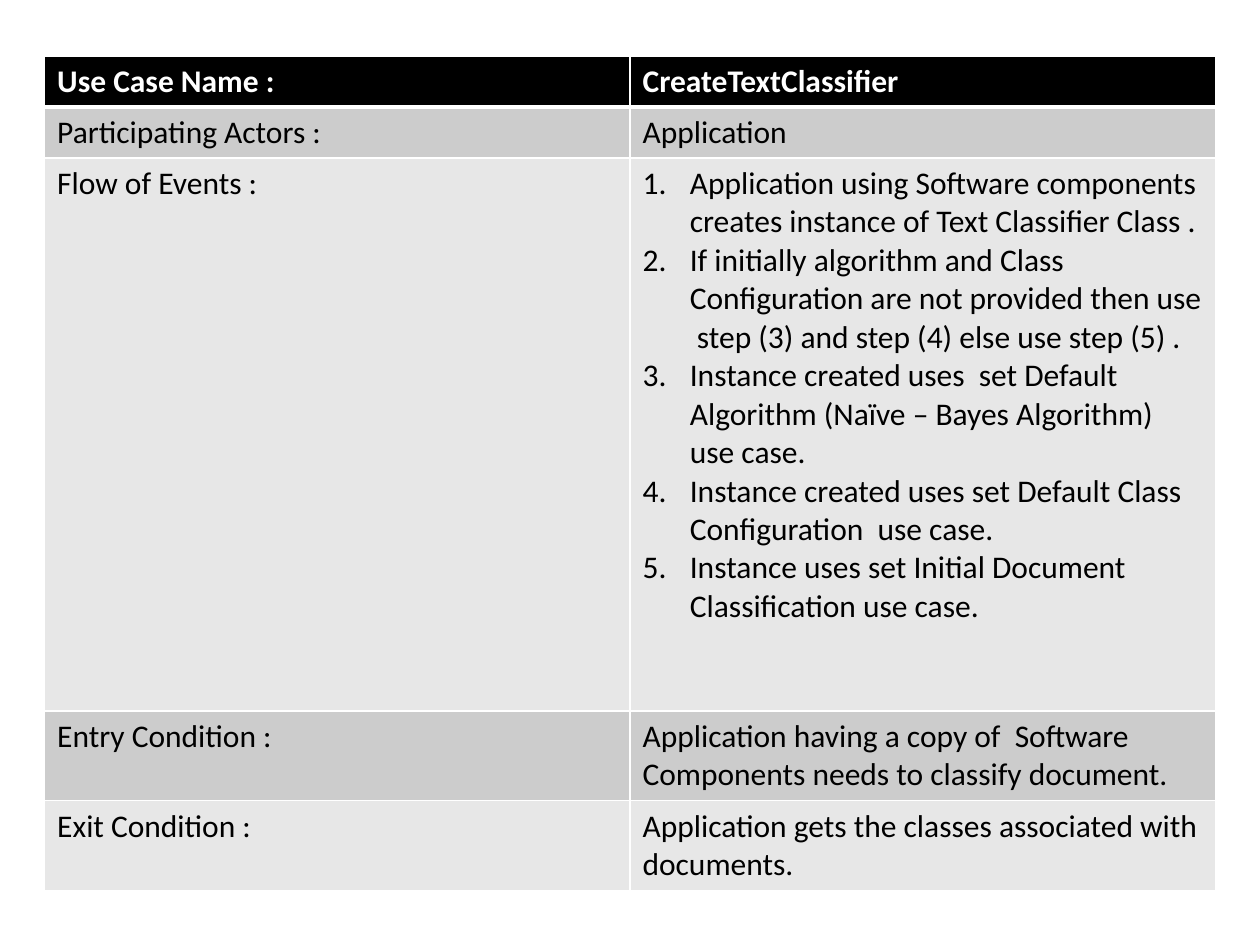
"""Build the use case table slide for CreateTextClassifier."""
from dataclasses import dataclass

from lxml.etree import SubElement
from pptx import Presentation
from pptx.dml.color import RGBColor
from pptx.oxml.ns import qn
from pptx.util import Pt

WHITE = RGBColor(0xFF, 0xFF, 0xFF)
BLACK = RGBColor(0x00, 0x00, 0x00)
DARK_BAND = RGBColor(0xCC, 0xCC, 0xCC)
LIGHT_BAND = RGBColor(0xE7, 0xE7, 0xE7)
LEFT, TOP, COLUMN_WIDTH = 25.5, 32, 334.5
LIST_INDENT = Pt(27)


@dataclass(frozen=True)
class UseCaseField:
    """One row of the use case: its label, its content and its height in points."""
    label: str
    content: tuple[str, ...]
    height: float
    numbered: bool = False


FIELDS = (
    UseCaseField("Use Case Name :", ("CreateTextClassifier",), 29.2),
    UseCaseField("Participating Actors :", ("Application",), 29.2),
    UseCaseField("Flow of Events :", (
        "Application using Software components creates instance of Text Classifier Class .",
        "If initially algorithm and Class Configuration are not provided then use"
        "  step (3) and step (4) else use step (5) .",
        "Instance created uses  set Default Algorithm (Naïve – Bayes Algorithm)   use case.",
        "Instance created uses set Default Class Configuration  use case.",
        "Instance uses set Initial Document Classification use case.",
    ), 316, numbered=True),
    UseCaseField("Entry Condition :", (
        "Application having a copy of  Software Components needs to classify document.",), 51.2),
    UseCaseField("Exit Condition :", (
        "Application gets the classes associated with documents.",), 51.2),
)


def write_text(paragraph, text: str, *, color: RGBColor = BLACK, bold: bool = False,
               size: float = 18, font: str = "Calibri", numbered: bool = False) -> None:
    """Write formatted text into a paragraph, numbered if asked."""
    run = paragraph.add_run()
    run.text = text
    run.font.name, run.font.size = font, Pt(size)
    run.font.bold, run.font.color.rgb = bold, color
    if numbered:
        properties = paragraph._p.get_or_add_pPr()
        properties.set("marL", str(LIST_INDENT))
        properties.set("indent", str(-LIST_INDENT))
        SubElement(properties, qn("a:buFont"), typeface="+mj-lt")
        SubElement(properties, qn("a:buAutoNum"), type="arabicPeriod")


def draw_borders(cell, *, top: float, bottom: float) -> None:
    """Give a cell white borders of the stated widths."""
    properties = cell._tc.get_or_add_tcPr()
    for side, width in (("L", 1), ("R", 1), ("T", top), ("B", bottom)):
        border = SubElement(properties, qn(f"a:ln{side}"), w=str(Pt(width)))
        fill = SubElement(border, qn("a:solidFill"))
        SubElement(fill, qn("a:srgbClr"), val=str(WHITE))


def fill_row(table, index: int, field: UseCaseField) -> None:
    """Fill one table row with a use case field."""
    header = index == 0
    band = BLACK if header else DARK_BAND if index % 2 else LIGHT_BAND
    table.rows[index].height = Pt(field.height)
    for column, lines in enumerate(((field.label,), field.content)):
        cell = table.cell(index, column)
        draw_borders(cell, top=3 if index == 1 else 1, bottom=3 if header else 1)
        cell.fill.solid()
        cell.fill.fore_color.rgb = band
        frame = cell.text_frame
        for number, line in enumerate(lines):
            paragraph = frame.add_paragraph() if number else frame.paragraphs[0]
            write_text(paragraph, line, color=WHITE if header else BLACK, bold=header,
                       numbered=field.numbered and column == 1)


def main() -> None:
    """Create and save the presentation."""
    deck = Presentation()
    deck.slide_width, deck.slide_height = Pt(720), Pt(540)
    slide = deck.slides.add_slide(deck.slide_layouts[6])
    height = sum(field.height for field in FIELDS)
    use_case = slide.shapes.add_table(len(FIELDS), 2, Pt(LEFT), Pt(TOP),
                                      Pt(2 * COLUMN_WIDTH), Pt(height)).table
    for index, field in enumerate(FIELDS):
        fill_row(use_case, index, field)
    deck.save("out.pptx")


main()
